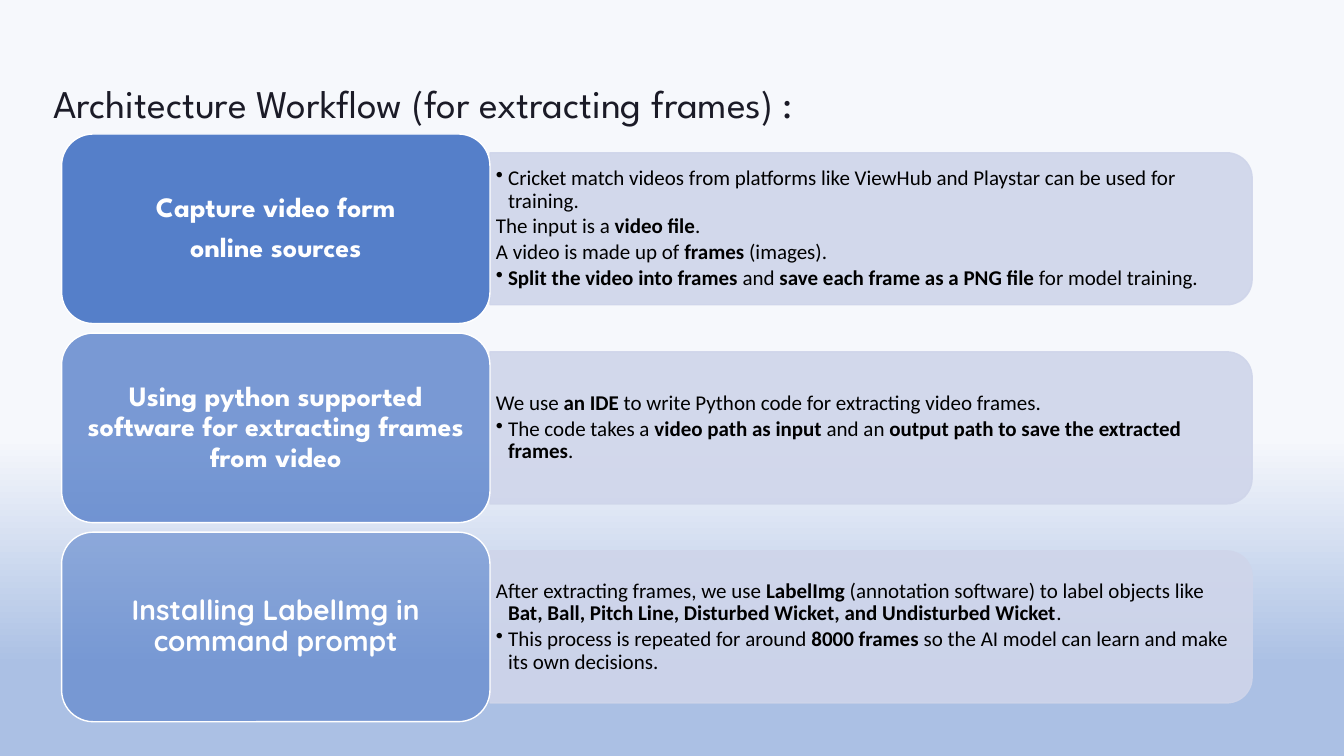
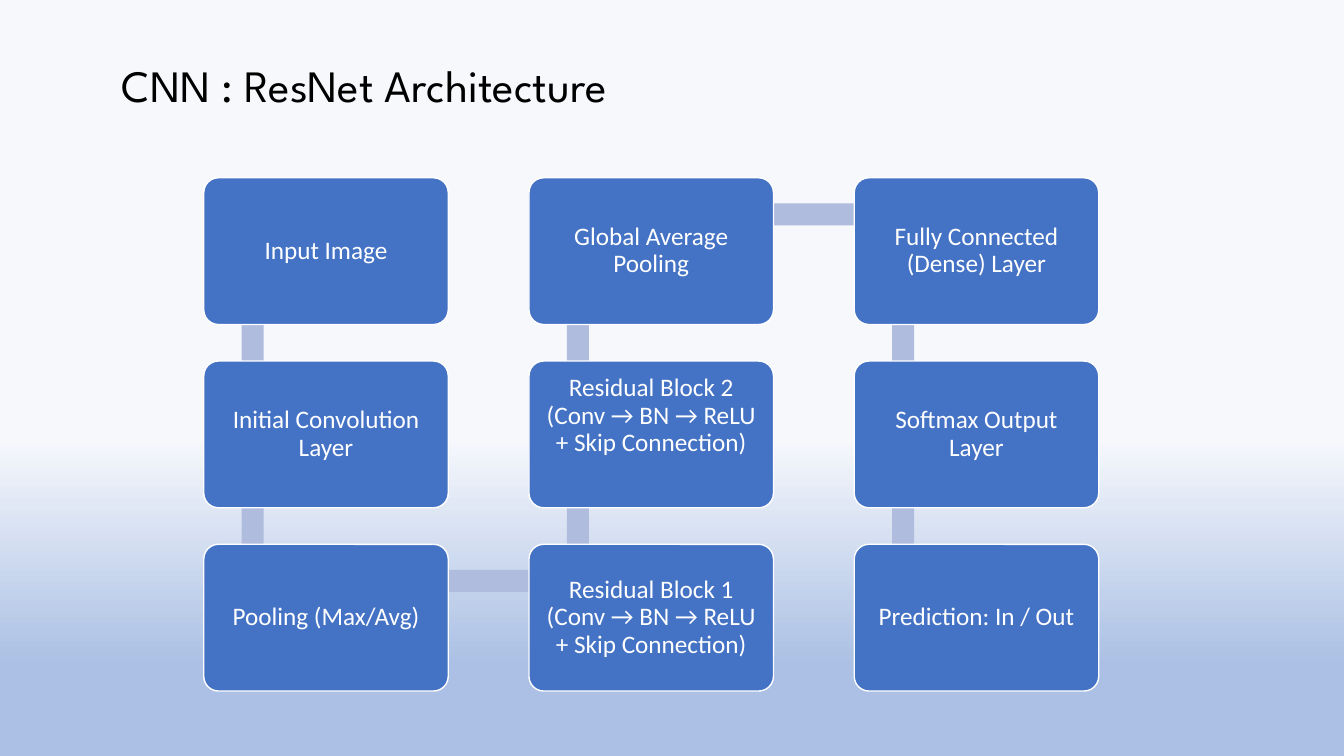
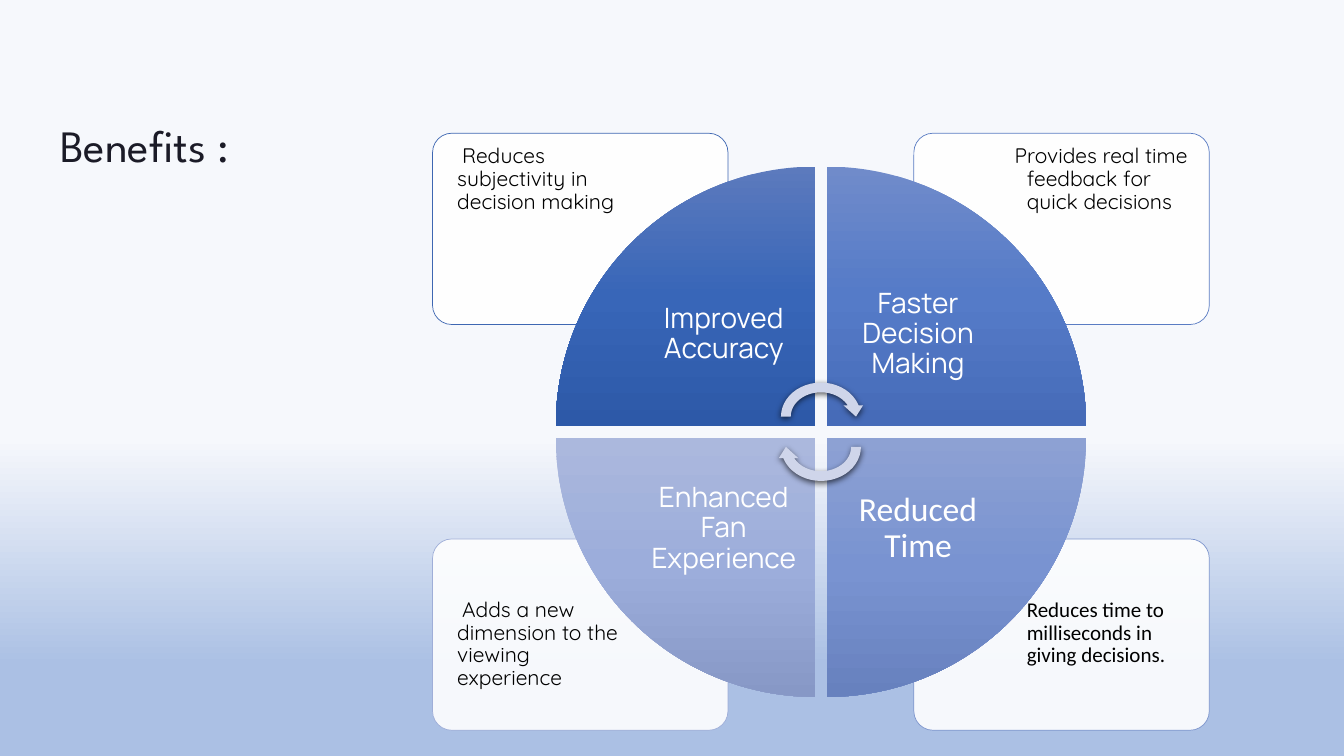
from itertools import pairwise

from lxml.etree import SubElement
from pptx import Presentation
from pptx.dml.color import RGBColor
from pptx.enum.shapes import MSO_SHAPE as SHAPE
from pptx.enum.text import MSO_ANCHOR as ANCHOR, PP_ALIGN as ALIGN
from pptx.oxml.ns import qn
from pptx.util import Pt

COLORS = {
    "sky_top": "F6F8FC", "sky_low": "ABC0E4", "sky_end": "C7D5ED",
    "ink": "1B1B27", "black": "000000", "white": "FFFFFF",
    "blue": "4472C4", "pale": "CFD5EA", "bar": "B0BCDE",
    "accuracy_top": "5C7ABD", "accuracy_mid": "3866B8",
    "accuracy_low": "2D59A8", "accuracy_edge": "3E67B2",
    "speed_top": "708BCA", "speed_mid": "557BC8",
    "speed_low": "466BB8", "speed_edge": "5A7CC3",
    "time_top": "8DA1D3", "time_mid": "7993D1",
    "time_low": "6781BE", "time_edge": "7D95CD",
    "fans_top": "ABB8DD", "fans_mid": "9CADDB",
    "fans_low": "8798C6", "fans_edge": "9FAED8",
}
HEAD, BODY, SOFT, WIDE = "League Spartan", "Calibri", "Quicksand", "Manrope"
LABEL = {"alignment": ALIGN.CENTER, "line_spacing": 0.9, "space_after": Pt(7)}
DETAIL = {"alignment": ALIGN.LEFT, "line_spacing": 0.9, "space_after": Pt(2.25)}
HANG = 8.64

WORKFLOW = [
    (["Capture video form", "online sources"], HEAD, 90, [
        "• Cricket match videos from platforms like ViewHub and Playstar can be used for training.",
        "The input is a **video file**.",
        "A video is made up of **frames** (images).",
        "• **Split the video into frames** and **save each frame as a PNG file** for model training.",
    ]),
    (["Using python supported software for extracting frames from video"], HEAD, 70, [
        "We use **an IDE** to write Python code for extracting video frames.",
        "• The code takes a **video path as input** and an **output path to save the extracted frames**.",
    ]),
    (["Installing LabelImg in command prompt"], SOFT, 50, [
        "After extracting frames, we use **LabelImg** (annotation software) to label objects like "
        "**Bat, Ball, Pitch Line, Disturbed Wicket, and Undisturbed Wicket**.",
        "• This process is repeated for around **8000 frames** so the AI model can learn "
        "and make its own decisions.",
    ]),
]
LAYERS = [
    (0, 0, "Input Image"),
    (0, 1, "Initial Convolution Layer"),
    (0, 2, "Pooling (Max/Avg)"),
    (1, 2, "Residual Block 1 (Conv → BN → ReLU + Skip Connection)"),
    (1, 1, "Residual Block 2 (Conv → BN → ReLU + Skip Connection)"),
    (1, 0, "Global Average Pooling"),
    (2, 0, "Fully Connected (Dense) Layer"),
    (2, 1, "Softmax Output Layer"),
    (2, 2, "Prediction: In / Out"),
]
BENEFITS = [
    ("accuracy", -1, -1, "Improved Accuracy", (WIDE, 20, 11.5),
     "Reduces subjectivity in decision making", SOFT, 3.5),
    ("speed", 1, -1, "Faster Decision Making", (WIDE, 20, 11.5),
     "Provides real time feedback for quick decisions", SOFT, -HANG),
    ("time", 1, 1, "Reduced Time", (BODY, 24, 13.7),
     "• Reduces time to milliseconds in giving decisions.", BODY, -HANG),
    ("fans", -1, 1, "Enhanced Fan Experience", (WIDE, 20, 11.5),
     "Adds a new dimension to the viewing experience", SOFT, 3.5),
]


def rgb(key):
    return RGBColor.from_string(COLORS[key])


def apply(obj, values):
    for name, value in values.items():
        setattr(obj, name, value)


def fade(root, percent):
    for color in root.iter(qn("a:srgbClr")):
        SubElement(color, qn("a:alpha"), val=str(percent * 1000))


def gradient(fill, root, stops):
    fill.gradient()
    fill.gradient_angle = 270
    root.find(".//" + qn("a:gradFill")).set("rotWithShape", "0")
    stop_list = root.find(".//" + qn("a:gsLst"))
    for old in list(stop_list):
        stop_list.remove(old)
    for pos, key in stops:
        stop = SubElement(stop_list, qn("a:gs"), pos=str(pos * 1000))
        SubElement(stop, qn("a:srgbClr"), val=COLORS[key])


def shape(s, kind, box, fill=None, line=None, width=1, rotation=0, adj=None):
    sp = s.shapes.add_shape(kind, *map(Pt, box))
    sp.shadow.inherit = False
    sp.rotation = rotation
    if adj is not None:
        sp.adjustments[0] = adj
    if fill:
        sp.fill.solid()
        sp.fill.fore_color.rgb = rgb(fill)
    if line:
        sp.line.color.rgb = rgb(line)
        sp.line.width = Pt(width)
    else:
        sp.line.fill.background()
    return sp


def write(sp, lines, font, color, para, insets, anchor=ANCHOR.MIDDLE, indent=None):
    tf = sp.text_frame
    sides = ("margin_left", "margin_top", "margin_right", "margin_bottom")
    apply(tf, dict(zip(sides, map(Pt, insets))))
    apply(tf, {"word_wrap": True, "vertical_anchor": anchor})
    for i, line in enumerate(lines):
        p = tf.add_paragraph() if i else tf.paragraphs[0]
        if indent is not None:
            p_pr = p._p.get_or_add_pPr()
            p_pr.set("marL", str(Pt(HANG)))
            p_pr.set("indent", str(Pt(indent)))
            if line.startswith("• "):
                SubElement(p_pr, qn("a:buChar"), char="•")
        apply(p, para)
        for j, part in enumerate(line.removeprefix("• ").split("**")):
            if part:
                r = p.add_run()
                r.text = part
                apply(r.font, {"bold": bool(j % 2), **font})
                r.font.color.rgb = rgb(color)


def title(s, text, box, size, color="ink", spacing=Pt(55.5)):
    sp = s.shapes.add_textbox(*map(Pt, box))
    write(sp, [text], {"name": HEAD, "size": Pt(size)}, color,
          {"line_spacing": spacing}, (7.2, 3.6, 7.2, 3.6), ANCHOR.TOP)


def workflow_row(s, box, heading, face, opacity, details):
    x, y, w, h = box
    card_w, panel_h = 306, 108.6
    panel_w, panel_x, panel_y = w - card_w, x + card_w, y + (h - panel_h) / 2
    panel = shape(s, SHAPE.ROUND_2_SAME_RECTANGLE,
                  (panel_x + (panel_w - panel_h) / 2, panel_y - (panel_w - panel_h) / 2,
                   panel_h, panel_w), "pale", "pale", rotation=90)
    fade(panel.element.spPr, 90)
    sp = s.shapes.add_textbox(*map(Pt, (panel_x, panel_y + 5.3, panel_w - 5.3, panel_h - 10.6)))
    write(sp, details, {"name": BODY, "size": Pt(15)}, "black", DETAIL,
          (4.3, 2.2, 4.3, 2.2), indent=-HANG)
    card = shape(s, SHAPE.ROUNDED_RECTANGLE, (x, y, card_w, h), "blue")
    fade(card.element.spPr, opacity)
    card.line.color.rgb = rgb("white")
    card.line.width = Pt(1)
    write(card, heading, {"name": face, "size": Pt(20), "bold": True}, "white", LABEL,
          (5.8, 2.9, 5.8, 2.9))


def workflow_slide(s):
    title(s, "Architecture Workflow (for extracting frames) :", (31, 31, 732, 58), 28)
    for i, row in enumerate(WORKFLOW):
        workflow_row(s, (44, 95.7 + i * 142.2, 850.4, 135.4), *row)


def layer_grid(s, box):
    x, y, w, h = box
    cell_w, cell_h, thick = 174.6, 104.8, 15.8
    step_x, step_y = (w - cell_w) / 2, (h - cell_h) / 2
    cells = [(x + col * step_x, y + row * step_y, text) for col, row, text in LAYERS]
    joints = [(left + cell_w / 5, top + cell_h / 4) for left, top, _ in cells]
    for (x1, y1), (x2, y2) in pairwise(joints):
        if x1 == x2:
            bar = (x1 - thick / 2, min(y1, y2), thick, step_y)
        else:
            bar = (x1, y1 - thick / 2, step_x, thick)
        shape(s, SHAPE.RECTANGLE, bar, "bar")
    for left, top, text in cells:
        sp = shape(s, SHAPE.ROUNDED_RECTANGLE, (left, top, cell_w, cell_h),
                   "blue", "white", adj=0.1)
        raised = text.startswith("Residual Block 2")
        write(sp, [text], {"name": BODY, "size": Pt(18)}, "white", LABEL,
              (5, 7 if raised else 5, 5, 5), ANCHOR.TOP if raised else ANCHOR.MIDDLE)


def layers_slide(s):
    layer_grid(s, (145.6, 127, 639.2, 366.6))
    title(s, "CNN : ResNet Architecture", (80, 37.4, 600, 46), 32, "black", 1.0)


def benefit_wheel(s, box):
    x, y, w, h = box
    cx, cy, gap = x + w / 2, y + h / 2, 4.2
    card_w, card_h, radius, label = 211, 136.6, 185.2, 130.4

    def quadrant(dx, dy, off_x, off_y, width, height):
        return (cx + off_x if dx > 0 else cx - off_x - width,
                cy + off_y if dy > 0 else cy - off_y - height, width, height)

    for key, dx, dy, _, _, detail, face, indent in BENEFITS:
        card = shape(s, SHAPE.ROUNDED_RECTANGLE,
                     quadrant(dx, dy, w / 2 - card_w, h / 2 - card_h, card_w, card_h),
                     "white", adj=0.1)
        fade(card.element.spPr, 90)
        card.line.color.rgb = rgb(f"{key}_edge")
        card.line.width = Pt(0.5)
        near, far = (68, 5) if dx > 0 else (5, 68)
        write(card, [detail], {"name": face, "size": Pt(15)}, "black", DETAIL,
              (near, 39 if dy > 0 else 5, far, 5), ANCHOR.TOP, indent)
    for i, (key, dx, dy, name, (face, size, inset), *_) in enumerate(BENEFITS):
        wedge = shape(s, SHAPE.PIE_WEDGE, quadrant(dx, dy, gap, gap, radius, radius),
                      rotation=i * 90)
        gradient(wedge.fill, wedge.element.spPr,
                 [(0, f"{key}_top"), (50, f"{key}_mid"), (100, f"{key}_low")])
        sp = s.shapes.add_textbox(*map(Pt, quadrant(dx, dy, gap, gap, label, label)))
        write(sp, [name], {"name": face, "size": Pt(size)}, "white", LABEL, (inset,) * 4)
    for top, rotation in ((cy - 38.6, 0), (cy - 17, 180)):
        arrow = shape(s, SHAPE.CIRCULAR_ARROW, (cx - 32, top, 64, 55.6), "pale",
                      rotation=rotation)
        effects = arrow.element.spPr.find(qn("a:effectLst"))
        shadow = SubElement(effects, qn("a:outerShdw"), blurRad=str(Pt(4.5)),
                            dist=str(Pt(1.5)), dir="5400000", rotWithShape="0")
        SubElement(shadow, qn("a:srgbClr"), val=COLORS["black"])
        fade(shadow, 63)


def benefits_slide(s):
    title(s, "Benefits :", (36, 63.4, 260, 63), 32)
    benefit_wheel(s, (309, 95.2, 554.8, 426.4))


def main():
    prs = Presentation()
    apply(prs, {"slide_width": Pt(960), "slide_height": Pt(540)})
    master = prs.slide_master
    gradient(master.background.fill, master.element,
             [(58, "sky_top"), (88, "sky_low"), (100, "sky_low"), (100, "sky_end")])
    for build in (workflow_slide, layers_slide, benefits_slide):
        build(prs.slides.add_slide(prs.slide_layouts[6]))
    prs.save("out.pptx")


if __name__ == "__main__":
    main()
